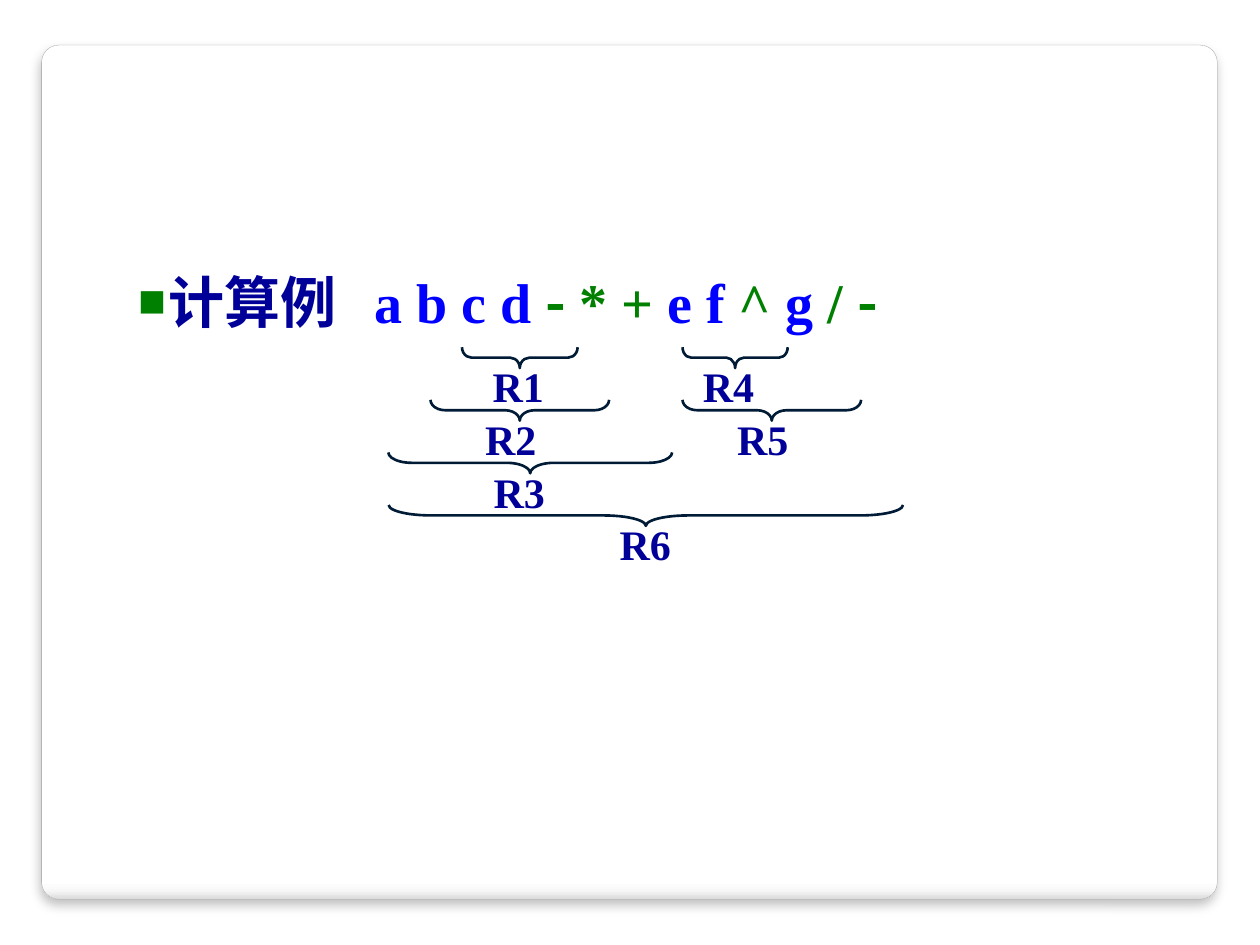
from lxml import etree
from pptx import Presentation
from pptx.dml.color import RGBColor
from pptx.enum.shapes import MSO_SHAPE
from pptx.enum.text import MSO_ANCHOR, MSO_AUTO_SIZE
from pptx.oxml import parse_xml
from pptx.util import Cm, Pt

ROUNDED, BRACE = MSO_SHAPE.ROUNDED_RECTANGLE, MSO_SHAPE.LEFT_BRACE
MIDDLE = MSO_ANCHOR.MIDDLE
GROW = MSO_AUTO_SIZE.SHAPE_TO_FIT_TEXT
A = "http://schemas.openxmlformats.org/drawingml/2006/main"
SERIF, SANS = "Times New Roman", "Noto Sans CJK SC"
COLORS = {
    "edge": "A4A4A4",
    "brace": "001B36",
    "label": "000099",
    "operand": "0000FF",
    "operator": "008000",
}


def color(name):
    return RGBColor.from_string(COLORS[name])


def add_run(paragraph, text, size, font, color_name):
    run = paragraph.add_run()
    run.text = text
    run.font.size = Pt(size)
    run.font.bold = True
    run.font.name = font
    run.font.color.rgb = color(color_name)
    etree.SubElement(run.font._element, f"{{{A}}}ea", typeface=font)
    return run


prs = Presentation()
prs.slide_width, prs.slide_height = Cm(25.4), Cm(19.05)
slide = prs.slides.add_slide(prs.slide_layouts[1])
title = slide.shapes.title
title.element.getparent().remove(title.element)

panel = slide.shapes.add_shape(ROUNDED, Cm(0.84), Cm(0.91), Cm(23.7), Cm(17.22))
panel.adjustments[0] = 0.02
panel.line.color.rgb = color("edge")
panel.line.width = Pt(0.16)
stops = [(0, "FFFFFF"), (98, "FFFFFF"), (99, "F7F7F7"), (100, "DADADA")]
stop_xml = "".join(
    f'<a:gs pos="{pos * 1000}"><a:srgbClr val="{shade}"/></a:gs>' for pos, shade in stops
)
panel.fill.background()
panel_props = panel.element.spPr
panel_props.replace(
    panel_props.find(f"{{{A}}}noFill"),
    parse_xml(
        f'<a:gradFill xmlns:a="{A}"><a:gsLst>{stop_xml}</a:gsLst>'
        '<a:lin ang="5400000" scaled="0"/></a:gradFill>'
    ),
)
panel_props.append(
    parse_xml(
        f'<a:effectLst xmlns:a="{A}"><a:outerShdw blurRad="{Pt(6)}" dist="{Pt(4)}" '
        'dir="5400000" rotWithShape="0"><a:srgbClr val="000000">'
        '<a:alpha val="25000"/></a:srgbClr></a:outerShdw></a:effectLst>'
    )
)

steps = [
    ("R1", 0, 10.48, 2.33, 9.68),
    ("R2", 1, 10.48, 3.6, 9.53),
    ("R3", 2, 10.69, 5.72, 9.7),
    ("R4", 0, 14.82, 2.12, 13.92),
    ("R5", 1, 15.56, 3.6, 14.61),
    ("R6", 3, 13.02, 10.37, 12.24),
]
row_pitch, depth = 1.06, 0.42
for result, row, center, span, label_left in steps:
    middle = 7.21 + row * row_pitch
    brace = slide.shapes.add_shape(
        BRACE, Cm(center - depth / 2), Cm(middle - span / 2), Cm(depth), Cm(span)
    )
    brace.rotation = 270
    brace.adjustments[0] = span / 5.08
    brace.shadow.inherit = False
    brace.fill.background()
    brace.line.color.rgb = color("brace")
    brace.line.width = Pt(1.5)

    label = slide.shapes.add_textbox(
        Cm(label_left), Cm(7.15 + row * row_pitch), Cm(1.55), Cm(1.27)
    )
    label.text_frame.word_wrap = False
    label.text_frame.auto_size = GROW
    add_run(label.text_frame.paragraphs[0], result, 24, SERIF, "label")

example = slide.placeholders[1]
example.left, example.top, example.width, example.height = Cm(2.54), Cm(5.28), Cm(15.93), Cm(1.6)
example.element.getparent().append(example.element)
example.text_frame.vertical_anchor = MIDDLE
example.text_frame.word_wrap = True
expression = example.text_frame.paragraphs[0]
expression.space_before = Pt(0)
bullet = expression._p.get_or_add_pPr()
bullet.set("marL", str(Cm(0.61)))
bullet.set("indent", str(-Cm(0.61)))
bullet_color = etree.SubElement(bullet, f"{{{A}}}buClr")
etree.SubElement(bullet_color, f"{{{A}}}srgbClr", val=COLORS["operator"])
etree.SubElement(bullet, f"{{{A}}}buSzPct", val="50000")
etree.SubElement(bullet, f"{{{A}}}buFont", typeface=SANS)
etree.SubElement(bullet, f"{{{A}}}buChar", char="■")

add_run(expression, "计算例", 32, SANS, "label")
gap = add_run(expression, " ", 32, SANS, "label")
gap.font._element.set("spc", "1400")
for text, font, role in [
    ("a b c d ", SERIF, "operand"),
    ("- ", SANS, "operator"),
    ("* +", SERIF, "operator"),
    (" e f ", SERIF, "operand"),
    ("^", SERIF, "operator"),
    (" g ", SERIF, "operand"),
    ("/ ", SERIF, "operator"),
    ("-", SANS, "operator"),
]:
    add_run(expression, text, 32, font, role)

prs.save("out.pptx")
